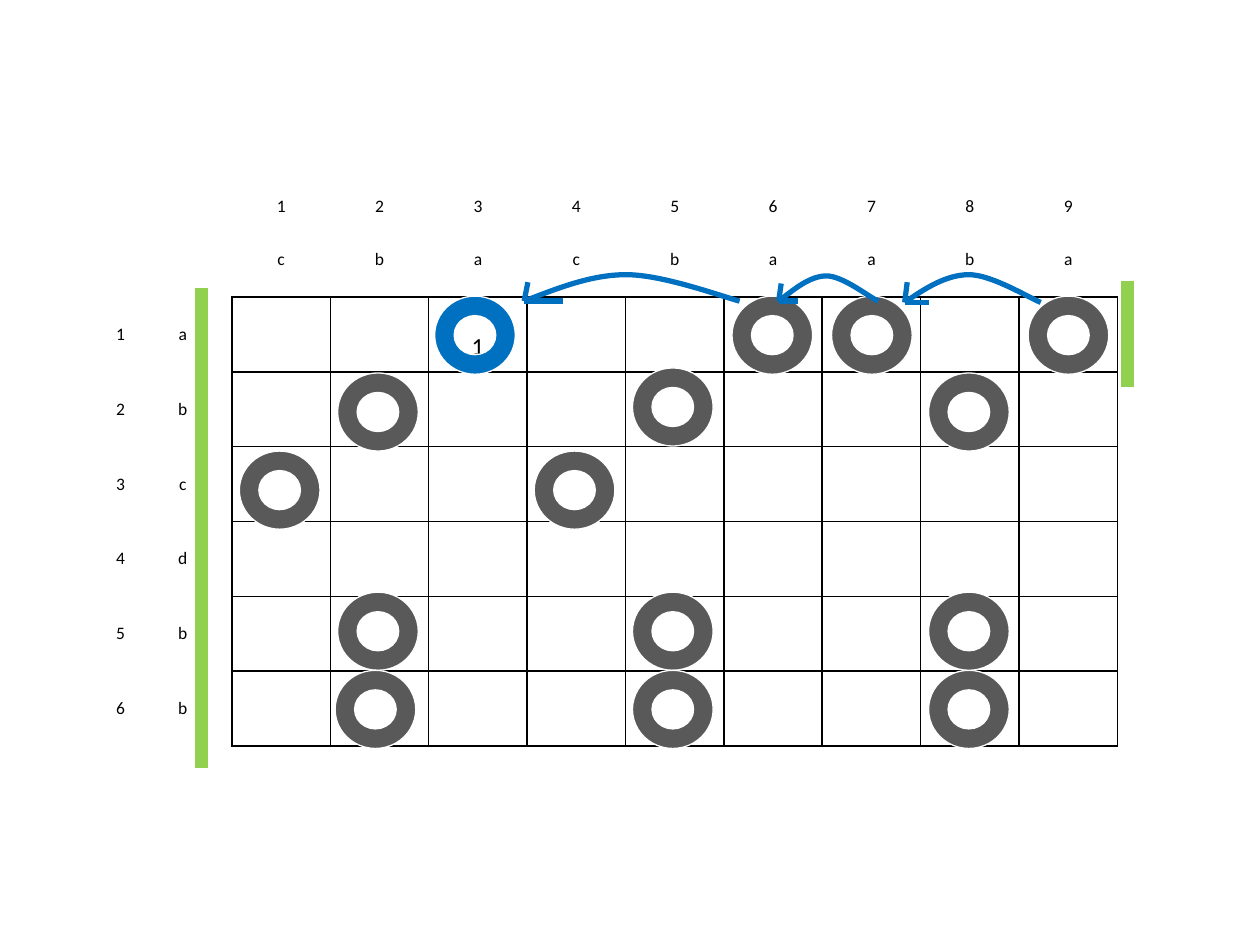
import pptx
import pptx.util
import pptx.dml.color
import pptx.enum.shapes
import pptx.enum.text
import pptx.oxml
import pptx.oxml.ns
from lxml import etree

Inches = pptx.util.Inches
Pt = pptx.util.Pt
RGB = pptx.dml.color.RGBColor.from_string
SHAPE = pptx.enum.shapes.MSO_SHAPE
ALIGN = pptx.enum.text.PP_ALIGN
ANCHOR = pptx.enum.text.MSO_ANCHOR
qn = pptx.oxml.ns.qn

COLORS = {"black": "000000", "white": "FFFFFF", "blue": "0070C0",
          "gray": "595959", "green": "92D050"}

prs = pptx.Presentation()
prs.slide_width, prs.slide_height = Inches(10), Inches(7.5)
slide = prs.slides.add_slide(prs.slide_layouts[6])


def add_text(cell, text, size, align, anchor):
    cell.vertical_anchor = anchor
    para = cell.text_frame.paragraphs[0]
    para.alignment = align
    run = para.add_run()
    run.text = text
    run.font.size = Pt(size)
    run.font.name = "Calibri"
    run.font.color.rgb = RGB(COLORS["black"])
    return para


def style_line(shape):
    shape.line.color.rgb = RGB(COLORS["blue"])
    shape.line.width = Pt(3)
    etree.SubElement(shape._element.spPr, qn("a:effectLst"))


# Matching matrix: two header rows and two header columns
across, down = "cbacbaaba", "abcdbb"
rows, cols = len(down) + 2, len(across) + 2
frame = slide.shapes.add_table(rows, cols, Inches(0.28), Inches(1.17),
                               Inches(8.59), Inches(4.75))
table = frame.table
table.first_row = table.horz_banding = False
for col in table.columns:
    col.width = int(Inches(8.59) / cols)
for row in table.rows:
    row.height = int(Inches(4.75) / rows)

for r in range(rows):
    for c in range(cols):
        cell = table.cell(r, c)
        cell.margin_left = cell.margin_right = Inches(0.07)
        cell.margin_top = cell.margin_bottom = Inches(0.04)
        body = r > 1 and c > 1
        edges = dict.fromkeys("LRTB", "black" if body else "white")
        if r == 1 and c > 1:
            edges["B"] = "black"
        if c == 1 and r > 1:
            edges["R"] = "black"
        props = cell._tc.get_or_add_tcPr()
        for side, color in edges.items():
            edge = etree.SubElement(props, qn("a:ln" + side), w=str(Pt(1)))
            fill = etree.SubElement(edge, qn("a:solidFill"))
            etree.SubElement(fill, qn("a:srgbClr"), val=COLORS[color])
        cell.fill.background()

for i, char in enumerate(across):
    add_text(table.cell(0, i + 2), str(i + 1), 10, ALIGN.CENTER, ANCHOR.BOTTOM)
    add_text(table.cell(1, i + 2), char, 10, ALIGN.CENTER, ANCHOR.MIDDLE)
for i, char in enumerate(down):
    add_text(table.cell(i + 2, 0), str(i + 1), 10, ALIGN.RIGHT, ANCHOR.MIDDLE)
    add_text(table.cell(i + 2, 1), char, 10, ALIGN.CENTER, ANCHOR.MIDDLE)
mark = add_text(table.cell(2, 4), "1", 14, ALIGN.CENTER, ANCHOR.TOP)
mark.line_spacing = 2.0

# Rings on the matching cells
rings = [(3.45, 2.35), (7.37, 5.32), (4.24, 3.58), (7.37, 2.96), (2.68, 2.96),
         (5.02, 2.92), (8.16, 2.35), (6.6, 2.35), (5.81, 2.35), (7.37, 4.7),
         (5.02, 4.7), (2.68, 4.7), (5.02, 5.32), (2.66, 5.32), (1.9, 3.58)]
for i, (x, y) in enumerate(rings):
    ring = slide.shapes.add_shape(SHAPE.DONUT, Inches(x), Inches(y),
                                  Inches(0.64), Inches(0.62))
    ring.shadow.inherit = False
    ring.fill.solid()
    ring.fill.fore_color.rgb = RGB(COLORS["gray" if i else "blue"])
    ring.line.color.rgb = RGB(COLORS["white"])
    ring.line.width = Pt(0.75)

# Curved arrows: two Bezier pieces each, then the two strokes of the head
arrows = [
    ([(7.18, 2.4), (7.34, 2.29), (7.51, 2.18), (7.69, 2.18),
      (7.87, 2.18), (8.16, 2.36), (8.26, 2.4)], (7.2, 2.24), 7.37),
    ([(6.18, 2.39), (6.31, 2.29), (6.43, 2.19), (6.56, 2.19),
      (6.69, 2.19), (6.9, 2.36), (6.97, 2.39)], (6.2, 2.25), 6.33),
    ([(4.16, 2.39), (4.42, 2.29), (4.69, 2.18), (4.97, 2.18),
      (5.26, 2.18), (5.72, 2.35), (5.87, 2.39)], (4.19, 2.24), 4.47),
]
for points, top, right in arrows:
    group = slide.shapes.add_group_shape()
    spots = [(Inches(x), Inches(y)) for x, y in points]
    build = group.shapes.build_freeform(*spots[0])
    build.add_line_segments(spots[1:], close=False)
    curve = build.convert_to_shape()
    curve.fill.background()
    style_line(curve)
    steps = list(curve._element.iter(qn("a:lnTo")))
    for k in range(0, len(steps), 3):
        bezier = etree.Element(qn("a:cubicBezTo"))
        steps[k].addprevious(bezier)
        for step in steps[k:k + 3]:
            bezier.append(step[0])
            step.getparent().remove(step)
    x, y = points[0]
    for start, end in ((top, (x, y)), ((x, y), (right, y))):
        stroke = group.shapes.add_connector(
            pptx.enum.shapes.MSO_CONNECTOR.STRAIGHT,
            *(Inches(n) for n in start + end))
        style_line(stroke)

# Green bars beside the matrix
for x, y, width in ((8.38, 2.44, 1.14), (-0.99, 3.98, 5.18)):
    bar = slide.shapes.add_shape(SHAPE.MATH_MINUS, Inches(x), Inches(y),
                                 Inches(width), Inches(0.42))
    bar.rotation = 270
    bar.shadow.inherit = False
    bar.fill.solid()
    bar.fill.fore_color.rgb = RGB(COLORS["green"])
    bar.line.fill.background()

prs.save("out.pptx")
